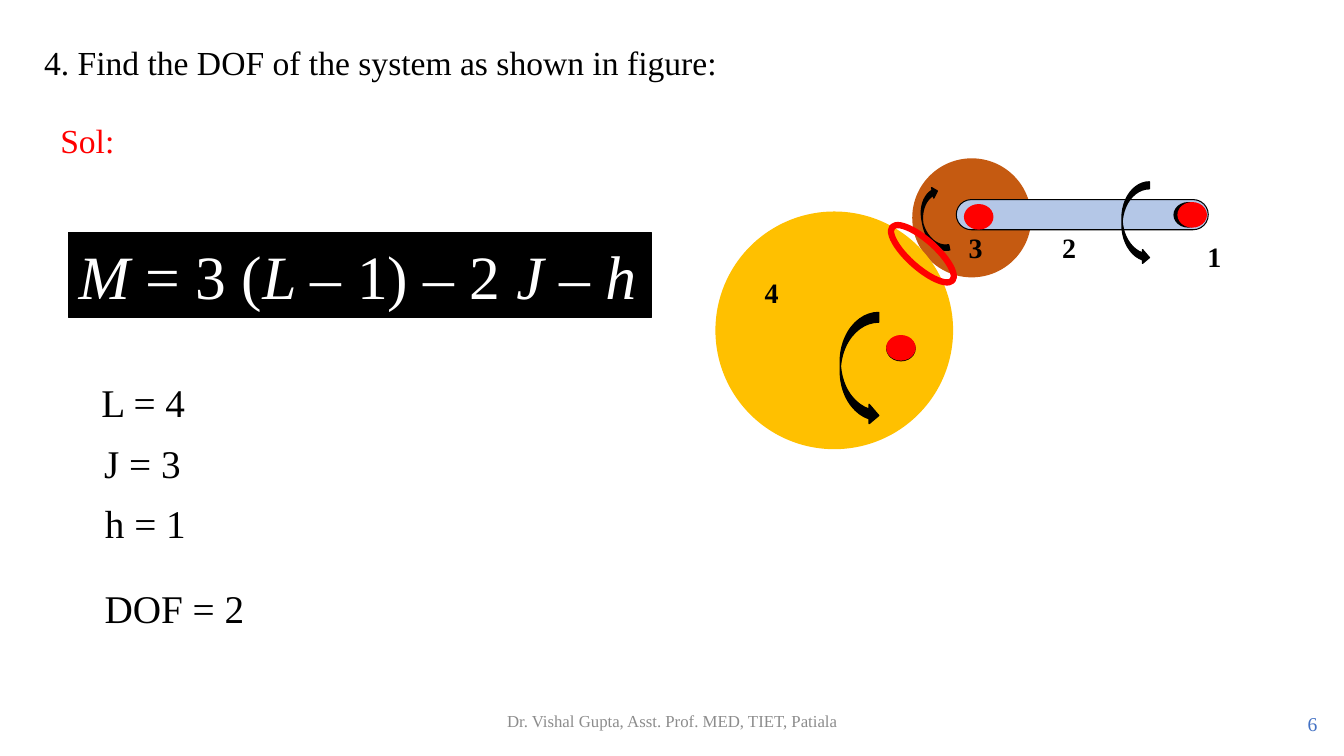
from pptx import Presentation
from pptx.dml.color import RGBColor
from pptx.enum.shapes import MSO_SHAPE as Preset
from pptx.enum.text import MSO_ANCHOR as Anchor, PP_ALIGN as Align
from pptx.util import Cm, Pt

BLACK = RGBColor(0x00, 0x00, 0x00)
WHITE = RGBColor(0xFF, 0xFF, 0xFF)
RED = RGBColor(0xFF, 0x00, 0x00)
BROWN = RGBColor(0xC5, 0x5A, 0x11)
AMBER = RGBColor(0xFF, 0xC0, 0x00)
PALE_BLUE = RGBColor(0xB4, 0xC7, 0xE7)
GREY = RGBColor(0x8C, 0x8C, 0x8C)
BLUE = RGBColor(0x44, 0x72, 0xC4)
FONT = "Times New Roman"

# Boxes are left, top, width, height in centimetres.
QUESTION = ("4. Find the DOF of the system as shown in figure:", (0.86, 0.94, 26.52, 1.27))
SOLUTION = ("Sol:", (1.27, 2.9, 2.24, 1.27))
FORMULA = [("M ", True), ("= 3 (", False), ("L ", True), ("– 1) – 2 ", False),
           ("J ", True), ("– ", False), ("h", True)]
FORMULA_BOX = (1.73, 5.87, 14.68, 2.13)
RESULTS = [
    ("L = 4", (2.29, 9.4, 2.64, 1.45)),
    ("J = 3", (2.36, 10.95, 2.46, 1.45)),
    ("h = 1", (1.9, 12.45, 3.53, 1.45)),
    ("DOF = 2", (1.04, 14.6, 6.71, 1.45)),
]
FOOTER = ("Dr. Vishal Gupta, Asst. Prof. MED, TIET, Patiala", (11.23, 17.65, 11.43, 1.02))
PAGE_NUMBER = ("6", (32.18, 17.73, 1.27, 1.02))

DISCS = [(BROWN, (22.99, 3.99, 3, 3)), (AMBER, (18.03, 5.33, 5.99, 5.99))]
ARM_BOX = (24.1, 5.03, 6.35, 0.76)
ARROWS = [  # preset, box, rotation, adjustments
    (Preset.CURVED_LEFT_ARROW, (23.24, 4.72, 0.53, 1.65), 168.1, (0.25, 0.5, 0.234)),
    (Preset.CURVED_UP_ARROW, (20.24, 8.81, 2.84, 0.97), 90, ()),
    (Preset.CURVED_UP_ARROW, (27.58, 5.28, 2.08, 0.69), 90, ()),
]
PIN_SIZE = (0.71, 0.61)
PINS = [
    (BLACK, (29.59, 5.11)), (BLACK, (22.35, 8.48)),
    (RED, (22.35, 8.46)), (RED, (24.31, 5.16)), (RED, (29.69, 5.11)),
]
CONTACT_BOX = (22.23, 6.05, 2.03, 0.69)
LABEL_SIZE = (1.47, 1.12)
LINK_LABELS = [("1", (30.18, 5.92)), ("2", (26.52, 5.69)),
               ("3", (24.16, 5.69)), ("4", (19.02, 6.81))]


def add_figure(slide, preset, box, fill=None, line=None, width=1, rotation=0, adjustments=()):
    shape = slide.shapes.add_shape(preset, *map(Cm, box))
    shape.shadow.inherit = False
    shape.rotation = rotation
    for index, value in enumerate(adjustments):
        shape.adjustments[index] = value
    if fill is None:
        shape.fill.background()
    else:
        shape.fill.solid()
        shape.fill.fore_color.rgb = fill
    if line is None:
        shape.line.fill.background()
    else:
        shape.line.color.rgb = line
        shape.line.width = Pt(width)
    return shape


def style(paragraph, size, color, align=Align.LEFT, bold=False):
    paragraph.alignment = align
    font = paragraph.font
    font.name, font.size, font.bold = FONT, Pt(size), bold
    font.color.rgb = color


def add_text(slide, text, box, size, color=BLACK, align=Align.LEFT, bold=False,
             anchor=Anchor.TOP, wrap=True):
    frame = slide.shapes.add_textbox(*map(Cm, box)).text_frame
    frame.word_wrap = wrap
    frame.vertical_anchor = anchor
    paragraph = frame.paragraphs[0]
    paragraph.text = text
    style(paragraph, size, color, align, bold)


def add_formula(slide):
    frame = add_figure(slide, Preset.RECTANGLE, FORMULA_BOX, BLACK, BLACK, 0.75).text_frame
    frame.word_wrap = False
    frame.vertical_anchor = Anchor.TOP
    paragraph = frame.paragraphs[0]
    style(paragraph, 44, WHITE)
    for text, italic in FORMULA:
        run = paragraph.add_run()
        run.text = text
        run.font.italic = italic


def add_mechanism(slide):
    for color, box in DISCS:
        add_figure(slide, Preset.OVAL, box, color)
    add_figure(slide, Preset.ROUNDED_RECTANGLE, ARM_BOX, PALE_BLUE, BLACK, 0.75,
               adjustments=(0.5,))
    for preset, box, rotation, adjustments in ARROWS:
        add_figure(slide, preset, box, BLACK, BLACK, 1, rotation, adjustments)
    for color, position in PINS:
        add_figure(slide, Preset.OVAL, position + PIN_SIZE, color, color)
    add_figure(slide, Preset.OVAL, CONTACT_BOX, None, RED, 4.5, 41.7)
    for text, position in LINK_LABELS:
        add_text(slide, text, position + LABEL_SIZE, 20, bold=True)


def main():
    presentation = Presentation()
    presentation.slide_width, presentation.slide_height = Cm(33.87), Cm(19.05)
    slide = presentation.slides.add_slide(presentation.slide_layouts[6])
    add_text(slide, *QUESTION, 24)
    add_text(slide, *SOLUTION, 24, RED)
    add_formula(slide)
    for text, box in RESULTS:
        add_text(slide, text, box, 28, align=Align.CENTER, wrap=False)
    add_mechanism(slide)
    add_text(slide, *FOOTER, 12, GREY, Align.CENTER, anchor=Anchor.MIDDLE)
    add_text(slide, *PAGE_NUMBER, 14, BLUE, Align.RIGHT, anchor=Anchor.MIDDLE)
    presentation.save("out.pptx")


if __name__ == "__main__":
    main()
